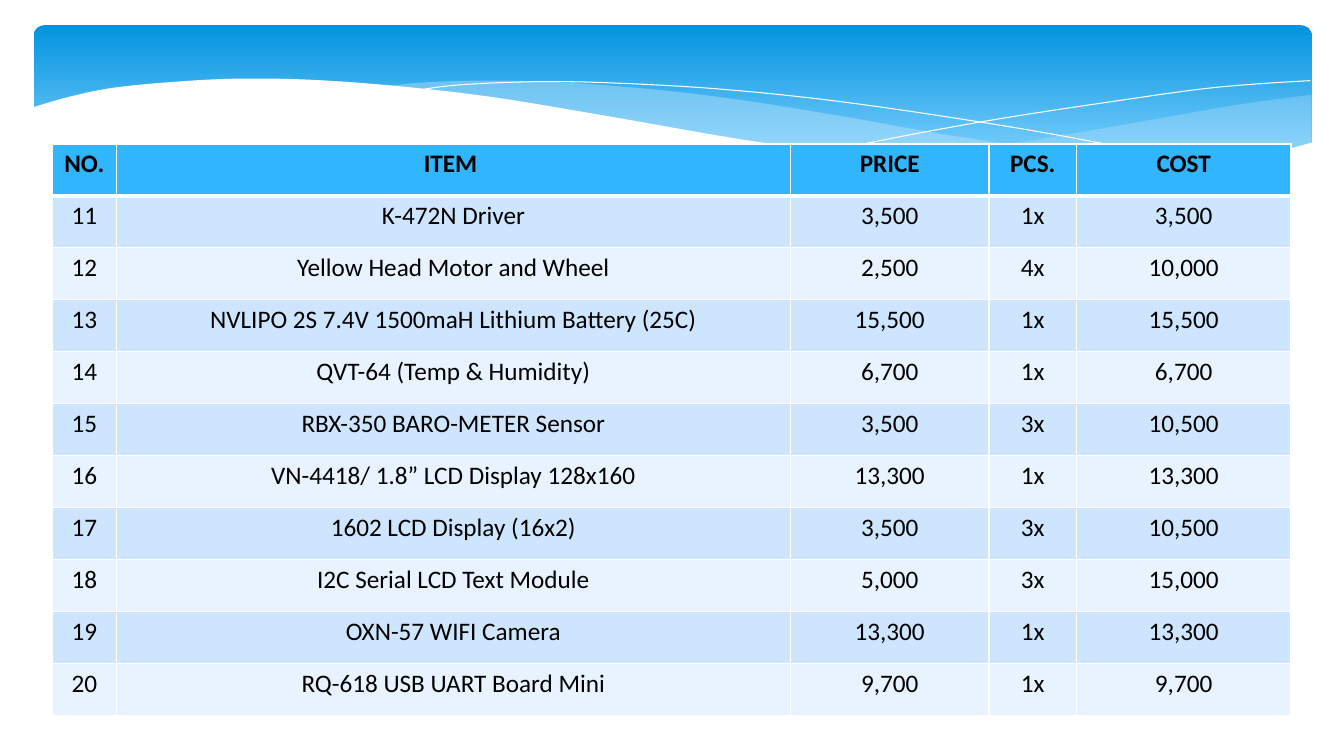
from lxml.etree import SubElement as Sub
from pptx import Presentation
from pptx.dml.color import RGBColor as Rgb
from pptx.enum.shapes import MSO_SHAPE as Kind
from pptx.enum.text import PP_ALIGN as Align
from pptx.oxml import parse_xml
from pptx.oxml.ns import nsdecls, qn
from pptx.util import Pt

LIGHT = [
    ([(936.7, 67.7), (883.4, 74.9), (825.8, 85), (747.4, 98.6), (677.5, 109.4), (635, 115.2)],
     [(635, 115.2), (676.8, 118.8), (726.5, 122.4), (781.2, 123.8), (828.7, 122.4),
      (869, 117.4), (905, 110.9), (936.7, 102.2)], 29),
    ([(856.8, 120.2), (774.7, 110.9), (677.5, 96.5), (604.1, 83.5), (532.8, 72),
      (469.4, 64.1), (403.2, 59), (347, 57.6), (301, 59), (275, 61.9)],
     [(275, 61.9), (328.3, 67.7), (388.1, 76.3), (431.3, 83.5), (508.3, 97.2),
      (577.4, 108), (638.6, 115.9), (706.3, 121.7), (774.7, 124.6), (814.3, 123.8),
      (856.8, 120.2)], 40),
]
LINES = [
    [(296.6, 64.8), (321.8, 61.2), (359.3, 59), (399.6, 58.3), (450, 59.8),
     (511.2, 63.4), (583.9, 70.6), (667.4, 82.1), (763.2, 97.9), (871.2, 119.5)],
    [(589, 108.7), (645.1, 97.2), (717.8, 84.2), (802.8, 71.3), (859.7, 63.4),
     (900, 59.8), (936, 57.6)],
]
FRONT = [(938.2, 101.5), (902.9, 110.9), (862.6, 118.1), (816.5, 122.4), (761.8, 123.1),
         (697.7, 120.2), (621.4, 112.3), (532.8, 100.1), (429.1, 82.1), (349.9, 69.1),
         (280.8, 61.2), (220.3, 56.9), (169.2, 56.2), (126.7, 58.3), (81.4, 62.6),
         (49.7, 69.1), (22.3, 77)]
BASE = [(22.3, 161.3), (938.2, 161.3)]

HEAD = ["NO.", "ITEM ", "PRICE", "PCS.", "COST"]
WIDTHS = [45.4, 481.7, 141.8, 62.4, 153.3]
ITEMS = [
    ("K-472N Driver", 3500, 1),
    ("Yellow Head Motor and Wheel", 2500, 4),
    ("NVLIPO 2S 7.4V 1500maH Lithium Battery (25C)", 15500, 1),
    ("QVT-64 (Temp & Humidity)", 6700, 1),
    ("RBX-350 BARO-METER Sensor", 3500, 3),
    ("VN-4418/ 1.8” LCD Display 128x160", 13300, 1),
    ("1602 LCD Display (16x2)", 3500, 3),
    ("I2C Serial LCD Text Module", 5000, 3),
    ("OXN-57 WIFI Camera", 13300, 1),
    ("RQ-618 USB UART Board Mini", 9700, 1),
]


def color(code):
    return Rgb.from_string(code)


def curve(knots, steps=5):
    ends = [knots[0], *knots, knots[-1]]
    dots = [knots[0]]
    for a, b, c, d in zip(ends, ends[1:], ends[2:], ends[3:]):
        for step in range(1, steps + 1):
            t = step / steps
            dots.append(tuple(
                q + t * ((r - p) + t * ((2 * p - 5 * q + 4 * r - s)
                                        + t * (3 * q - p - 3 * r + s))) / 2
                for p, q, r, s in zip(a, b, c, d)))
    return dots


class Deck:
    """Holds the style and the current slide, and draws each kind of element."""

    font = {"name": "Calibri", "size": Pt(18)}
    white, pale, head = "FFFFFF", "C6E7FC", "31B6FD"
    bands = ["CEE5FE", "E8F3FF"]

    def __init__(self, prs):
        self.slide = prs.slides.add_slide(prs.slide_layouts[6])

    def banner(self, left, top, width, height):
        shape = self.slide.shapes.add_shape(
            Kind.ROUNDED_RECTANGLE, Pt(left), Pt(top), Pt(width), Pt(height))
        shape.adjustments[0] = 0.07
        shape.shadow.inherit = False
        shape.line.fill.background()
        shape.fill.gradient()
        shape.fill.gradient_angle = 270
        for stop, place, code in zip(shape.fill.gradient_stops, (0, 0.9), ("0293E0", "83D3FE")):
            stop.position = place
            stop.color.rgb = color(code)

    def free(self, dots, close):
        start, *rest = [(Pt(x), Pt(y)) for x, y in dots]
        pen = self.slide.shapes.build_freeform(*start)
        pen.add_line_segments(rest, close=close)
        shape = pen.convert_to_shape()
        shape.shadow.inherit = False
        return shape

    def wave(self, dots, code, alpha=100):
        shape = self.free(dots, True)
        shape.line.fill.background()
        shape.fill.solid()
        shape.fill.fore_color.rgb = color(code)
        if alpha < 100:
            tint = next(shape.fill._xPr.iter(qn("a:srgbClr")))
            Sub(tint, qn("a:alpha"), val=str(alpha * 1000))

    def line(self, dots):
        shape = self.free(dots, False)
        shape.fill.background()
        shape.line.color.rgb = color(self.white)
        shape.line.width = Pt(0)

    def cell(self, cell, text, code, bold, edges):
        cell.fill.solid()
        cell.fill.fore_color.rgb = color(code)
        para = cell.text_frame.paragraphs[0]
        para.alignment = Align.CENTER
        run = para.add_run()
        run.text = text
        for key, value in {**self.font, "bold": bold}.items():
            setattr(run.font, key, value)
        run.font.color.rgb = color("000000")
        props = cell._tc.get_or_add_tcPr()
        for spot, (side, width) in enumerate(edges.items()):
            props.insert(spot, parse_xml(
                f'<a:ln{side} {nsdecls("a")} w="{Pt(width)}"><a:solidFill>'
                f'<a:srgbClr val="{self.white}"/></a:solidFill></a:ln{side}>'))

    def table(self, left, top, widths, tall, rows):
        grid = self.slide.shapes.add_table(
            len(rows), len(widths), Pt(left), Pt(top), Pt(sum(widths)), Pt(tall * len(rows))).table
        for col, width in zip(grid.columns, widths):
            col.width = Pt(width)
        for i, row in enumerate(rows):
            grid.rows[i].height = Pt(tall)
            code = self.bands[(i - 1) % 2] if i else self.head
            edges = {"L": 1, "R": 1, "T": 3 if i == 1 else 1, "B": 1 if i else 3}
            for j, text in enumerate(row):
                self.cell(grid.cell(i, j), text, code, i == 0, edges)


def main():
    prs = Presentation()
    prs.slide_width, prs.slide_height = Pt(960), Pt(540)
    deck = Deck(prs)
    deck.banner(24, 18, 913, 112)
    for upper, lower, alpha in LIGHT:
        deck.wave(curve(upper) + curve(lower), deck.pale, alpha)
    for knots in LINES:
        deck.line(curve(knots))
    deck.wave(curve(FRONT) + BASE, deck.white)
    rows = [HEAD] + [
        [str(no), name, f"{price:,}", f"{count}x", f"{price * count:,}"]
        for no, (name, price, count) in enumerate(ITEMS, 11)]
    deck.table(37.6, 102.8, WIDTHS, 37.12, rows)
    prs.save("out.pptx")


if __name__ == "__main__":
    main()
